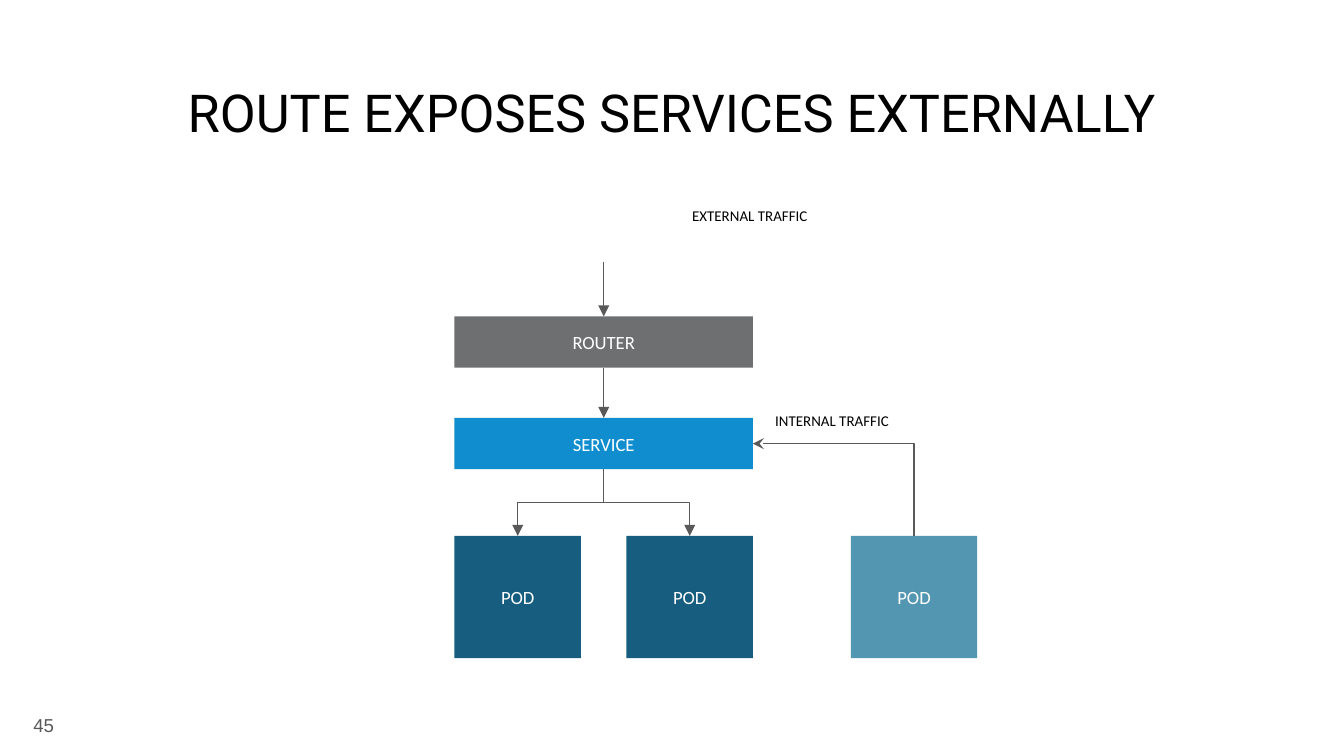
"""Build a slide showing how a route exposes services to external traffic."""
from dataclasses import dataclass

from lxml.etree import SubElement
from pptx import Presentation
from pptx.dml.color import RGBColor
from pptx.enum.shapes import MSO_CONNECTOR as Link, MSO_SHAPE as Preset
from pptx.enum.text import MSO_ANCHOR as Anchor, PP_ALIGN as Align
from pptx.oxml.ns import qn
from pptx.shapes.autoshape import Shape
from pptx.shapes.connector import Connector
from pptx.slide import Slide
from pptx.util import Cm, Pt

BLACK = RGBColor(0x00, 0x00, 0x00)
WHITE = RGBColor(0xFF, 0xFF, 0xFF)
SLATE = RGBColor(0x59, 0x59, 0x59)
GREY = RGBColor(0x6E, 0x6F, 0x71)
BLUE = RGBColor(0x0F, 0x8D, 0xCE)
NAVY = RGBColor(0x16, 0x5D, 0x80)
TEAL = RGBColor(0x53, 0x96, 0xB1)

TOP, LEFT, BOTTOM, RIGHT = range(4)
STACK_LEFT, BAR_WIDTH, BAR_HEIGHT = 8.59, 5.64, 0.97
POD_TOP, POD_WIDTH, POD_HEIGHT = 10.13, 2.39, 2.31
ROUTER_TOP, SERVICE_TOP = 5.98, 7.9


@dataclass(frozen=True)
class Area:
    left: float
    top: float
    width: float
    height: float

    def lengths(self) -> tuple[Cm, ...]:
        return Cm(self.left), Cm(self.top), Cm(self.width), Cm(self.height)


@dataclass(frozen=True)
class Node:
    text: str
    area: Area
    fill: RGBColor


@dataclass(frozen=True)
class Caption:
    text: str
    area: Area
    size: float
    color: RGBColor = BLACK
    font: str = "Calibri"
    align: Align = Align.LEFT
    anchor: Anchor = Anchor.TOP


def write(shape: Shape, caption: Caption) -> None:
    frame = shape.text_frame
    margins = dict.fromkeys(("margin_left", "margin_top", "margin_right", "margin_bottom"), Cm(0.25))
    for name, value in {"word_wrap": True, "vertical_anchor": caption.anchor, **margins}.items():
        setattr(frame, name, value)
    paragraph = frame.paragraphs[0]
    paragraph.alignment = caption.align
    run = paragraph.add_run()
    run.text = caption.text
    for name, value in {"name": caption.font, "size": Pt(caption.size), "bold": False}.items():
        setattr(run.font, name, value)
    run.font.color.rgb = caption.color


def add_caption(slide: Slide, caption: Caption) -> None:
    write(slide.shapes.add_textbox(*caption.area.lengths()), caption)


def add_node(slide: Slide, node: Node) -> Shape:
    box = slide.shapes.add_shape(Preset.RECTANGLE, *node.area.lengths())
    box.shadow.inherit = False
    box.fill.solid()
    box.fill.fore_color.rgb = node.fill
    box.line.fill.background()
    write(box, Caption(node.text, node.area, 10, WHITE, align=Align.CENTER, anchor=Anchor.MIDDLE))
    return box


def style(arrow: Connector, head: str) -> None:
    arrow.line.color.rgb = SLATE
    arrow.line.width = Pt(0.75)
    SubElement(arrow.line._get_or_add_ln(), qn("a:tailEnd"), type=head)
    SubElement(arrow._element.spPr, qn("a:effectLst"))


def join(slide: Slide, kind: Link, source: Shape, source_side: int,
         target: Shape, target_side: int, head: str = "triangle") -> Connector:
    arrow = slide.shapes.add_connector(kind, 0, 0, 0, 0)
    arrow.begin_connect(source, source_side)
    arrow.end_connect(target, target_side)
    style(arrow, head)
    return arrow


def turn_upright(elbow: Connector, geometry: str) -> None:
    """Rotate an elbow so that it leaves its first shape vertically."""
    rise = elbow.end_y - elbow.begin_y
    run = elbow.end_x - elbow.begin_x
    middle_x = (elbow.begin_x + elbow.end_x) // 2
    middle_y = (elbow.begin_y + elbow.end_y) // 2
    width, height = abs(rise), abs(run)
    for name, value in {"left": middle_x - width // 2, "top": middle_y - height // 2,
                        "width": width, "height": height}.items():
        setattr(elbow, name, value)
    xfrm = elbow._element.spPr.xfrm
    for name, value in {"rot": 90 if run < 0 else 270, "flipV": False,
                        "flipH": (run < 0) != (rise > 0)}.items():
        setattr(xfrm, name, value)
    elbow._element.spPr.find(qn("a:prstGeom")).set("prst", geometry)


def main() -> None:
    deck = Presentation()
    deck.slide_width, deck.slide_height = Cm(25.4), Cm(14.29)
    slide = deck.slides.add_slide(deck.slide_layouts[6])

    router, service = (
        add_node(slide, Node(text, Area(STACK_LEFT, top, BAR_WIDTH, BAR_HEIGHT), fill))
        for text, top, fill in (("ROUTER", ROUTER_TOP, GREY), ("SERVICE", SERVICE_TOP, BLUE))
    )
    first_pod, second_pod, client_pod = (
        add_node(slide, Node("POD", Area(left, POD_TOP, POD_WIDTH, POD_HEIGHT), fill))
        for left, fill in ((STACK_LEFT, NAVY), (STACK_LEFT + BAR_WIDTH - POD_WIDTH, NAVY), (16.08, TEAL))
    )

    spine = Cm(STACK_LEFT + BAR_WIDTH / 2)
    inbound = slide.shapes.add_connector(Link.STRAIGHT, spine, Cm(4.95), spine, Cm(ROUTER_TOP))
    inbound.end_connect(router, TOP)
    style(inbound, "triangle")
    join(slide, Link.STRAIGHT, router, BOTTOM, service, TOP)
    for pod in (first_pod, second_pod):
        turn_upright(join(slide, Link.ELBOW, service, BOTTOM, pod, TOP), "bentConnector3")
    internal = join(slide, Link.ELBOW, client_pod, TOP, service, RIGHT, "stealth")
    turn_upright(internal, "bentConnector2")

    for caption in (
        Caption("ROUTE EXPOSES SERVICES EXTERNALLY", Area(2.29, 0, 20.8, 2.95), 28,
                font="Roboto", align=Align.CENTER, anchor=Anchor.BOTTOM),
        Caption("EXTERNAL TRAFFIC", Area(12.83, 3.73, 3.71, 0.71), 8),
        Caption("INTERNAL TRAFFIC", Area(14.4, 7.62, 3.71, 0.71), 8),
        Caption("45", Area(0.28, 13.16, 0.99, 1.09), 10, SLATE, "Arial", Align.RIGHT, Anchor.MIDDLE),
    ):
        add_caption(slide, caption)

    deck.save("out.pptx")


if __name__ == "__main__":
    main()
